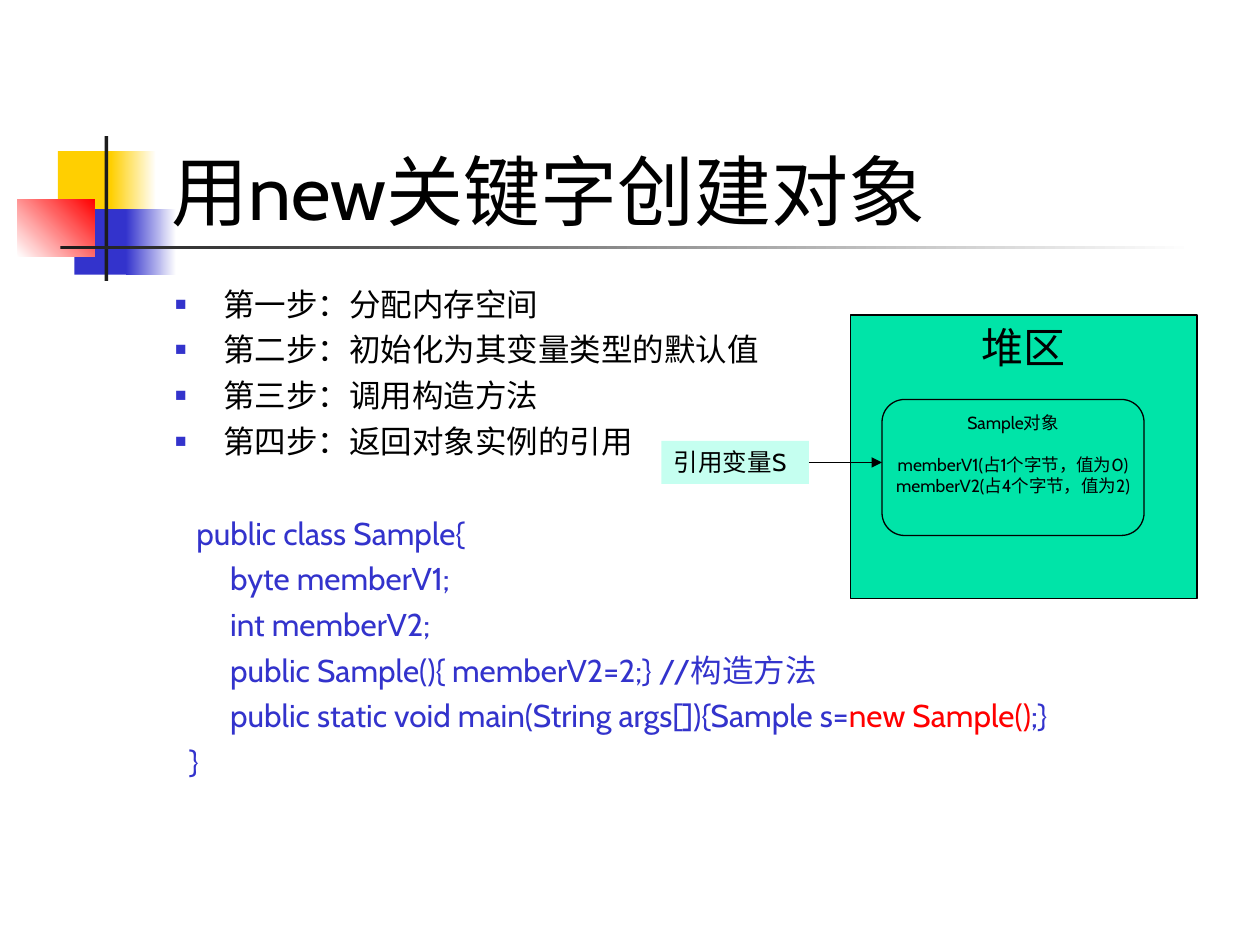
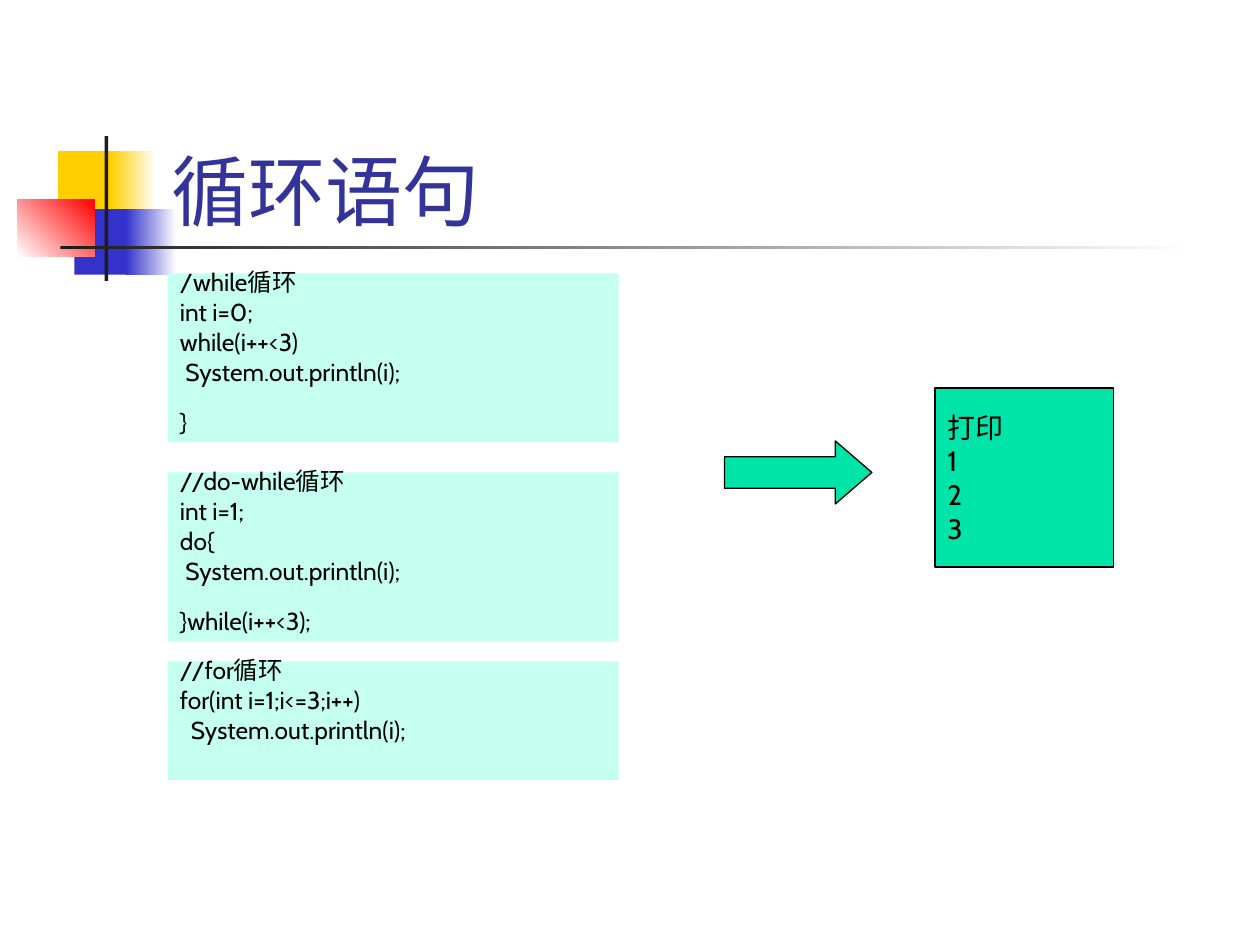
from dataclasses import dataclass
from typing import Optional, Sequence

from lxml.etree import SubElement
from pptx import Presentation
from pptx.dml.color import RGBColor
from pptx.enum.shapes import MSO_CONNECTOR, MSO_SHAPE
from pptx.enum.text import MSO_ANCHOR, MSO_AUTO_SIZE, PP_ALIGN
from pptx.oxml.ns import qn
from pptx.util import Inches, Pt

FONT = "Cabin"
COLORS = {
    "black": "000000",
    "white": "FFFFFF",
    "yellow": "FFCF01",
    "blue": "3333CC",
    "red": "FF0000",
    "charcoal": "1C1C1C",
    "title": "333399",
    "green": "00E4A8",
    "mint": "C5FFF0",
}


@dataclass(frozen=True)
class Area:
    left: float
    top: float
    width: float
    height: float

    def lengths(self) -> tuple:
        return tuple(Inches(n) for n in (self.left, self.top, self.width, self.height))


@dataclass(frozen=True)
class Band:
    area: Area
    start: str
    end: Optional[str] = None
    angle: float = 0


@dataclass(frozen=True)
class Span:
    text: str
    color: str = "black"


@dataclass(frozen=True)
class Line:
    spans: Sequence[Span]
    before: float = 0
    bullet: bool = False


@dataclass(frozen=True)
class TextStyle:
    size: float
    align: PP_ALIGN = PP_ALIGN.LEFT
    anchor: MSO_ANCHOR = MSO_ANCHOR.TOP
    spacing: Optional[float] = None
    wrap: bool = True


@dataclass(frozen=True)
class CodeBox:
    area: Area
    lines: Sequence[str]
    closing: str = ""


BANDS = (
    Band(Area(0.46, 1.2, 0.48, 0.52), "yellow"),
    Band(Area(0.88, 1.2, 0.36, 0.52), "yellow", "white"),
    Band(Area(0.59, 1.66, 0.46, 0.52), "blue"),
    Band(Area(1, 1.66, 0.4, 0.52), "blue", "white"),
    Band(Area(0.14, 1.58, 0.61, 0.46), "white", "red", 45),
    Band(Area(0.83, 1.08, 0.03, 1.15), "charcoal"),
    Band(Area(0.48, 1.95, 9, 0.03), "charcoal", "white"),
)
TITLE_AREA = Area(1.26, 0.67, 8.52, 1.25)
BODY_AREA = Area(1.29, 2.21, 8.5, 4.5)
TITLE_STYLE = TextStyle(44, anchor=MSO_ANCHOR.BOTTOM)
BODY_STYLE = TextStyle(18, align=PP_ALIGN.JUSTIFY)
CODE_STYLE = TextStyle(14, spacing=0.5)

STEPS = (
    "第一步：分配内存空间",
    "第二步：初始化为其变量类型的默认值",
    "第三步：调用构造方法",
    "第四步：返回对象实例的引用",
)
SAMPLE_CODE = (
    (Span("   public class Sample{", "blue"),),
    (Span("\t byte memberV1;", "blue"),),
    (Span("\t int memberV2;", "blue"),),
    (Span("\t public Sample(){ memberV2=2;} //构造方法", "blue"),),
    (
        Span("\t public static void main(String args[]){Sample s=", "blue"),
        Span("new Sample()", "red"),
        Span(";}", "blue"),
    ),
    (Span("  }", "blue"),),
)
LOOPS = (
    CodeBox(
        Area(1.33, 2.17, 3.58, 1.34),
        ("/while循环", "int i=0;", "while(i++<3)", " System.out.println(i);"),
        "}",
    ),
    CodeBox(
        Area(1.33, 3.75, 3.58, 1.34),
        ("//do-while循环", "int i=1;", "do{", " System.out.println(i);"),
        "}while(i++<3);",
    ),
    CodeBox(
        Area(1.33, 5.25, 3.58, 0.94),
        ("//for循环", "for(int i=1;i<=3;i++)", "  System.out.println(i);"),
    ),
)


def rgb(name: str) -> RGBColor:
    return RGBColor.from_string(COLORS[name])


def plain(text: str, before: float = 0) -> Line:
    return Line((Span(text),), before)


def set_hanging_indent(para, bullet: bool) -> None:
    props = para._p.get_or_add_pPr()
    props.set("marL", str(Inches(0.38)))
    props.set("indent", str(-Inches(0.38)))
    if not bullet:
        SubElement(props, qn("a:buNone"))
        return
    color = SubElement(props, qn("a:buClr"))
    SubElement(color, qn("a:srgbClr"), val=COLORS["blue"])
    SubElement(props, qn("a:buSzPct"), val="60000")
    SubElement(props, qn("a:buChar"), char="■")


def write(frame, lines: Sequence[Line], style: TextStyle, hanging: bool = False) -> None:
    frame.auto_size = MSO_AUTO_SIZE.NONE
    frame.word_wrap = style.wrap
    frame.vertical_anchor = style.anchor
    frame.text = "\n".join(line.spans[0].text for line in lines)
    for para, line in zip(frame.paragraphs, lines):
        if hanging:
            set_hanging_indent(para, line.bullet)
        para.alignment = style.align
        para.space_before = Pt(line.before)
        if style.spacing:
            para.line_spacing = style.spacing
        for extra in line.spans[1:]:
            para.add_run().text = extra.text
        for run, span in zip(para.runs, line.spans):
            run.font.name = FONT
            run.font.size = Pt(style.size)
            run.font.color.rgb = rgb(span.color)


def add_box(page, area: Area, fill: str, outlined: bool = False, kind=MSO_SHAPE.RECTANGLE):
    box = page.shapes.add_shape(kind, *area.lengths())
    box.shadow.inherit = False
    box.fill.solid()
    box.fill.fore_color.rgb = rgb(fill)
    if outlined:
        box.line.color.rgb = rgb("black")
        box.line.width = Pt(0.75)
    else:
        box.line.fill.background()
    return box


def place(holder, area: Area) -> None:
    holder.left, holder.top, holder.width, holder.height = area.lengths()


def add_page(deck, layout: int, title: str, color: str):
    page = deck.slides.add_slide(deck.slide_layouts[layout])
    place(page.shapes.title, TITLE_AREA)
    write(page.shapes.title.text_frame, [Line((Span(title, color),))], TITLE_STYLE)
    return page


def move_bands_to_master(deck, page) -> None:
    tree = deck.slide_master.element.cSld.spTree
    for number, band in enumerate(BANDS):
        box = add_box(page, band.area, band.start)
        if band.end:
            box.fill.gradient()
            box.fill.gradient_angle = band.angle
            for stop, color in zip(box.fill.gradient_stops, (band.start, band.end)):
                stop.color.rgb = rgb(color)
        box.element.nvSpPr.cNvPr.set("id", str(100 + number))
        tree.insert(2 + number, box.element)


def add_reference_arrow(page, label) -> None:
    arrow = page.shapes.add_connector(
        MSO_CONNECTOR.STRAIGHT, Inches(6.42), Inches(3.67), Inches(7), Inches(3.67)
    )
    arrow.begin_connect(label, 3)
    arrow.line.color.rgb = rgb("black")
    arrow.line.width = Pt(0.75)
    SubElement(arrow.line._get_or_add_ln(), qn("a:tailEnd"), type="triangle")
    SubElement(arrow.element.spPr, qn("a:effectLst"))


def build_object_page(deck):
    page = add_page(deck, 1, "用new关键字创建对象", "black")
    body = page.placeholders[1]
    place(body, BODY_AREA)
    lines = [
        Line((Span(step),), 4.5 if number else 0, True)
        for number, step in enumerate(STEPS)
    ]
    lines += [
        Line(spans, 4.5 if number else 30.8)
        for number, spans in enumerate(SAMPLE_CODE)
    ]
    write(body.text_frame, lines, BODY_STYLE, hanging=True)

    heap = add_box(page, Area(6.75, 2.5, 2.75, 2.25), "green", True)
    write(heap.text_frame, [plain("堆区")], TextStyle(24, PP_ALIGN.CENTER))
    sample = add_box(
        page, Area(7, 3.17, 2.08, 1.08), "green", True,
        MSO_SHAPE.FLOWCHART_ALTERNATE_PROCESS,
    )
    members = [
        plain("Sample对象"),
        plain("memberV1(占1个字节，值为0)", 12),
        plain("memberV2(占4个字节，值为2)"),
    ]
    write(sample.text_frame, members, TextStyle(10, PP_ALIGN.CENTER, wrap=False))
    label = add_box(page, Area(5.25, 3.5, 1.17, 0.34), "mint")
    write(label.text_frame, [plain("引用变量S")], TextStyle(14))
    add_reference_arrow(page, label)
    return page


def build_loop_page(deck) -> None:
    page = add_page(deck, 5, "循环语句", "title")
    for loop in LOOPS:
        lines = [
            plain(text, 8.8 if number else 0) for number, text in enumerate(loop.lines)
        ]
        if loop.closing:
            lines.append(plain(loop.closing, 20))
        write(add_box(page, loop.area, "mint").text_frame, lines, CODE_STYLE)

    output = add_box(page, Area(7.42, 3.08, 1.42, 1.42), "green", True)
    printed = [plain(text) for text in ("打印", "1", "2", "3")]
    write(output.text_frame, printed, TextStyle(16, anchor=MSO_ANCHOR.MIDDLE))
    arrow = add_box(
        page, Area(5.75, 3.5, 1.17, 0.5), "green", True, MSO_SHAPE.RIGHT_ARROW
    )
    arrow.adjustments[1] = 0.58


def main() -> None:
    deck = Presentation()
    deck.slide_width, deck.slide_height = Inches(10), Inches(7.5)
    object_page = build_object_page(deck)
    move_bands_to_master(deck, object_page)
    build_loop_page(deck)
    deck.save("out.pptx")


if __name__ == "__main__":
    main()
